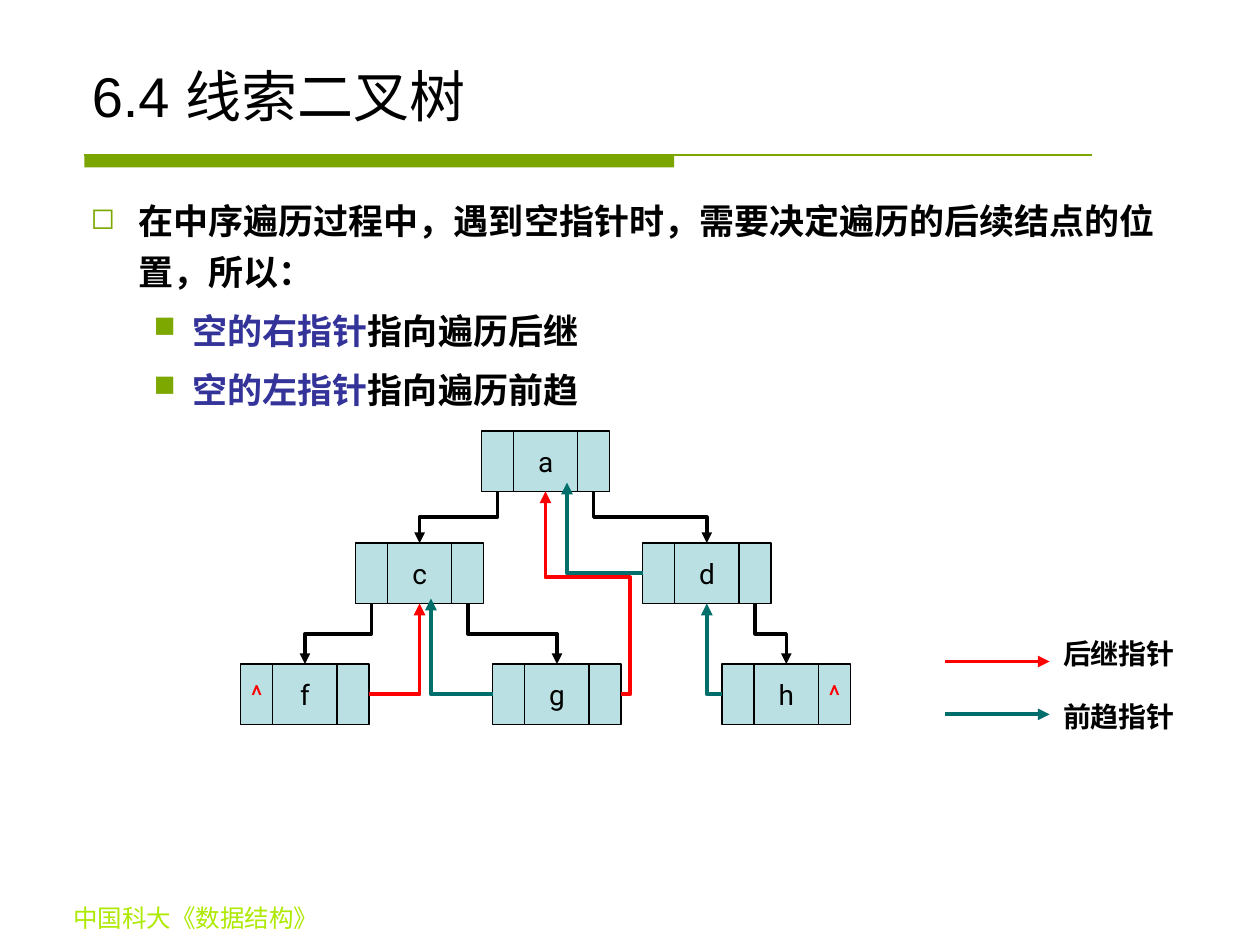
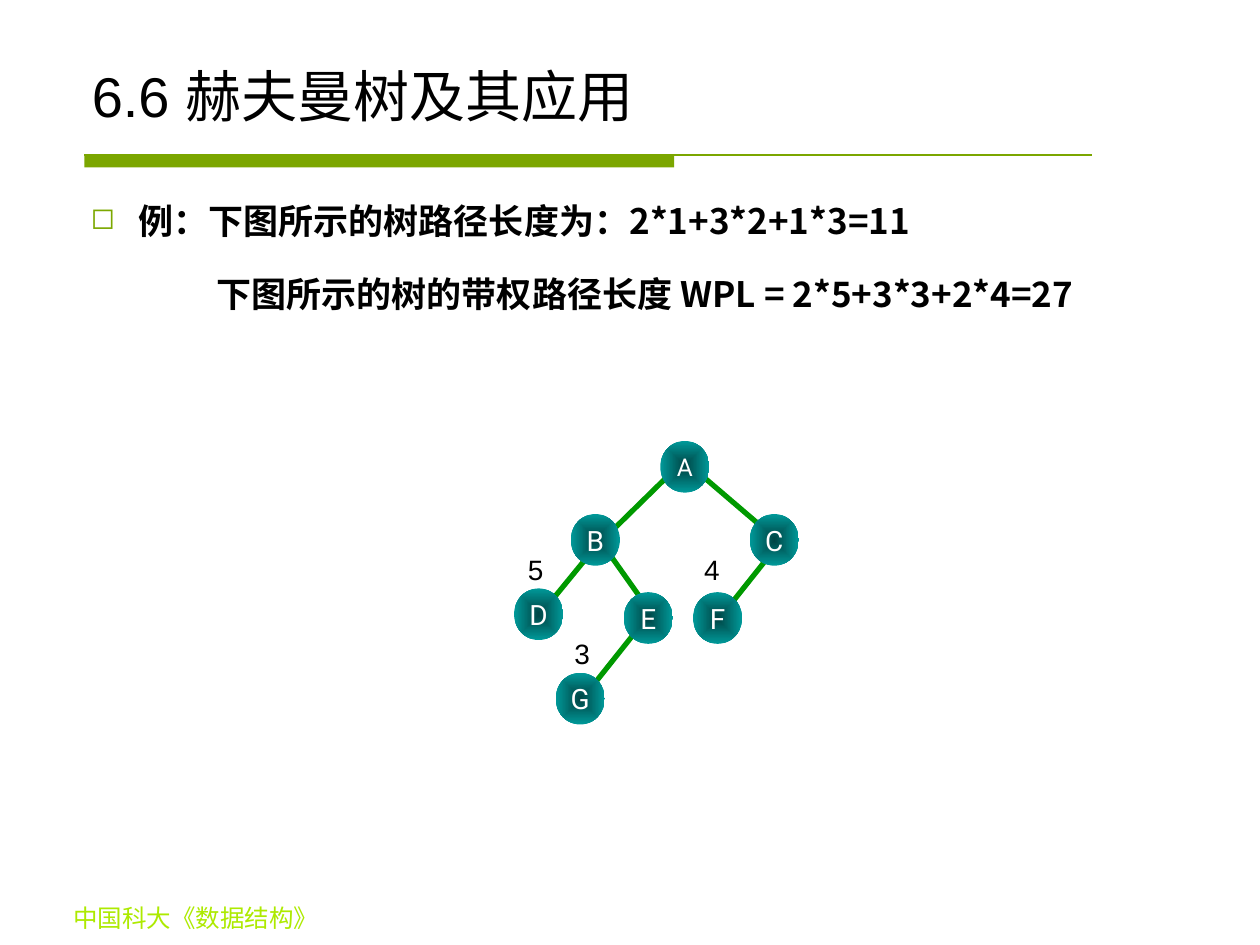
from dataclasses import dataclass

from lxml import etree
from pptx import Presentation
from pptx.dml.color import RGBColor
from pptx.enum.shapes import MSO_CONNECTOR, MSO_SHAPE
from pptx.enum.text import MSO_ANCHOR, PP_ALIGN
from pptx.oxml.ns import qn
from pptx.util import Inches, Pt

STRAIGHT, ELBOW = MSO_CONNECTOR.STRAIGHT, MSO_CONNECTOR.ELBOW
RECTANGLE, OVAL = MSO_SHAPE.RECTANGLE, MSO_SHAPE.OVAL
TOP, MIDDLE, BOTTOM = MSO_ANCHOR.TOP, MSO_ANCHOR.MIDDLE, MSO_ANCHOR.BOTTOM
LEFT, CENTER = PP_ALIGN.LEFT, PP_ALIGN.CENTER


@dataclass(frozen=True)
class Theme:
    band: str = "7BA600"
    bullet: str = "7CA800"
    footer: str = "ADEA00"
    text: str = "000000"
    keyword: str = "333399"
    cell: str = "BBE0E3"
    successor: str = "FF0000"
    predecessor: str = "006F6C"
    edge: str = "009900"
    node_core: str = "004646"
    node_rim: str = "009999"
    node_text: str = "FFFFFF"
    title_size: int = 32
    body_size: int = 20
    label_size: int = 16
    small_size: int = 14
    font: str = "Arial"
    node_font: str = "Roboto"
    footer_font: str = "Times New Roman"
    chinese_font: str = "Noto Sans CJK SC"


THEME = Theme()
CELL_HEIGHT = 0.48
POINTER_WIDTH = 0.255
VALUE_WIDTH = 0.51
POINTER_OFFSET = (VALUE_WIDTH + POINTER_WIDTH) / 2
HALF_NODE = VALUE_WIDTH / 2 + POINTER_WIDTH


def rgb(color):
    return RGBColor.from_string(color)


def add_run(paragraph, text, size, color=THEME.text, font=THEME.font, bold=False):
    run = paragraph.add_run()
    run.text = text
    run.font.size = Pt(size)
    run.font.name = font
    run.font.bold = bold
    run.font.color.rgb = rgb(color)
    latin = run.font._element.find(qn("a:latin"))
    east_asian = etree.Element(qn("a:ea"), typeface=THEME.chinese_font)
    latin.addnext(east_asian)


def write_label(shape, text, size=THEME.label_size, align=CENTER, anchor=MIDDLE,
                wrap=False, side_margin=0.1, **run_format):
    frame = shape.text_frame
    frame.word_wrap = wrap
    frame.vertical_anchor = anchor
    frame.margin_left = frame.margin_right = Inches(side_margin)
    frame.paragraphs[0].alignment = align
    add_run(frame.paragraphs[0], text, size, **run_format)


def add_text(slide, box, text, anchor=TOP, **label_format):
    shape = slide.shapes.add_textbox(*map(Inches, box))
    write_label(shape, text, anchor=anchor, **label_format)


def add_preset(slide, preset, box):
    shape = slide.shapes.add_shape(preset, *map(Inches, box))
    shape.shadow.inherit = False
    return shape


def add_line(slide, start, end, color, width, arrow=False, kind=STRAIGHT):
    line = slide.shapes.add_connector(kind, *map(Inches, (*start, *end)))
    line.line.color.rgb = rgb(color)
    line.line.width = Pt(width)
    if arrow:
        etree.SubElement(line.line._get_or_add_ln(), qn("a:tailEnd"), type="triangle")
    etree.SubElement(line._element.spPr, qn("a:effectLst"))
    return line


def set_elbow(line, preset, **adjustments):
    geometry = line._element.spPr.find(qn("a:prstGeom"))
    geometry.set("prst", preset)
    guides = geometry.find(qn("a:avLst"))
    for name, value in adjustments.items():
        etree.SubElement(guides, qn("a:gd"), name=name, fmla=f"val {value}")


def turn(line, degrees, flip=False):
    transform = line._element.spPr.find(qn("a:xfrm"))
    for name in ("flipH", "flipV"):
        transform.attrib.pop(name, None)
    transform.set("rot", str(degrees * 60000))
    if flip:
        transform.set("flipH", "1")


def add_child_link(slide, start, end):
    """Draw an arrow that runs down, across and down again."""
    (x1, y1), (x2, y2) = start, end
    half_drop, half_span = (y2 - y1) / 2, abs(x2 - x1) / 2
    middle_x, middle_y = (x1 + x2) / 2, (y1 + y2) / 2
    line = add_line(slide, (middle_x - half_drop, middle_y - half_span),
                    (middle_x + half_drop, middle_y + half_span),
                    THEME.text, 2, arrow=True, kind=ELBOW)
    set_elbow(line, "bentConnector3", adj1=50000)
    goes_right = x2 > x1
    turn(line, 270 if goes_right else 90, flip=goes_right)


def add_thread(slide, start, end, color):
    """Draw an arrow that runs sideways and then up."""
    line = add_line(slide, start, end, color, 2.25, arrow=True, kind=ELBOW)
    set_elbow(line, "bentConnector2")
    if end[0] < start[0]:
        turn(line, 180)


def add_tree_node(slide, center, top, value, left_mark="", right_mark=""):
    cells = ((0, VALUE_WIDTH, value, THEME.text),
             (POINTER_OFFSET, POINTER_WIDTH, right_mark, THEME.successor),
             (-POINTER_OFFSET, POINTER_WIDTH, left_mark, THEME.successor))
    for offset, width, text, color in cells:
        cell = add_preset(slide, RECTANGLE,
                          (center + offset - width / 2, top, width, CELL_HEIGHT))
        cell.fill.solid()
        cell.fill.fore_color.rgb = rgb(THEME.cell)
        cell.line.color.rgb = rgb(THEME.text)
        cell.line.width = Pt(0.75)
        if text:
            write_label(cell, text, color=color, font=THEME.node_font)


def add_round_node(slide, left, top, letter, size):
    node = add_preset(slide, OVAL, (left, top, 0.39, 0.41))
    node.line.fill.background()
    node.fill.gradient()
    for stop, color in zip(node.fill.gradient_stops, (THEME.node_core, THEME.node_rim)):
        stop.color.rgb = rgb(color)
    gradient = node._element.spPr.find(qn("a:gradFill"))
    gradient.remove(gradient.find(qn("a:lin")))
    center_fill = etree.SubElement(gradient, qn("a:path"))
    center_fill.set("path", "rect")
    etree.SubElement(center_fill, qn("a:fillToRect"),
                     dict.fromkeys("ltrb", "50000"))
    write_label(node, letter, size=size, side_margin=0,
                color=THEME.node_text, font=THEME.node_font)


def add_body(slide, paragraphs, font=THEME.font):
    """Each paragraph is (runs, left margin, first indent, bullet, space before)."""
    shape = slide.shapes.add_textbox(*map(Inches, (0.62, 1.47, 8.75, 5.43)))
    frame = shape.text_frame
    frame.word_wrap = True
    for index, (runs, margin, indent, bullet, space) in enumerate(paragraphs):
        paragraph = frame.add_paragraph() if index else frame.paragraphs[0]
        paragraph.line_spacing = 1.2
        if index:
            paragraph.space_before = Pt(space)
        properties = paragraph._p.get_or_add_pPr()
        properties.set("marL", str(Inches(margin)))
        properties.set("indent", str(Inches(indent)))
        if bullet:
            color = etree.SubElement(properties, qn("a:buClr"))
            etree.SubElement(color, qn("a:srgbClr"), val=THEME.bullet)
            etree.SubElement(properties, qn("a:buSzPct"), val="85000")
            etree.SubElement(properties, qn("a:buChar"), char=bullet)
        for text, color in runs:
            add_run(paragraph, text, THEME.body_size, color=color, font=font, bold=True)


def first_level(text):
    return [(text, THEME.text)], 0.38, -0.38, "◻", 0


def second_level(keyword, text):
    return [(keyword, THEME.keyword), (text, THEME.text)], 0.81, -0.31, "■", 5


def add_base_slide(presentation, title):
    slide = presentation.slides.add_slide(presentation.slide_layouts[6])
    band = add_preset(slide, RECTANGLE, (0.67, 1.23, 4.68, 0.1))
    band.fill.solid()
    band.fill.fore_color.rgb = rgb(THEME.band)
    band.line.fill.background()
    add_line(slide, (0.67, 1.23), (8.67, 1.23), THEME.band, 0.75)
    add_text(slide, (0, 7.12, 3.11, 0.34), "中国科大《数据结构》", wrap=True,
             size=THEME.small_size, color=THEME.footer, font=THEME.footer_font)
    add_text(slide, (0.63, 0.33, 8.75, 0.74), title, anchor=BOTTOM, align=LEFT,
             wrap=True, size=THEME.title_size)
    return slide


def build_threaded_tree(presentation):
    slide = add_base_slide(presentation, "6.4 线索二叉树")
    add_body(slide, [
        first_level("在中序遍历过程中，遇到空指针时，需要决定遍历的后续结点的位置，所以："),
        second_level("空的右指针", "指向遍历后继"),
        second_level("空的左指针", "指向遍历前趋"),
    ])
    nodes = {"a": (4.33, 3.42), "c": (3.33, 4.31), "d": (5.61, 4.31),
             "f": (2.42, 5.27), "g": (4.42, 5.27), "h": (6.24, 5.27)}
    marks = {"f": {"left_mark": "^"}, "h": {"right_mark": "^"}}
    for value, (center, top) in nodes.items():
        add_tree_node(slide, center, top, value, **marks.get(value, {}))

    for parent, side, child in (("a", -1, "c"), ("a", 1, "d"), ("c", -1, "f"),
                                ("c", 1, "g"), ("d", 1, "h")):
        center, top = nodes[parent]
        add_child_link(slide, (center + side * POINTER_OFFSET, top + CELL_HEIGHT),
                       nodes[child])

    def side_point(value, side):
        center, top = nodes[value]
        return center + side * HALF_NODE, top + CELL_HEIGHT / 2

    add_thread(slide, side_point("f", 1), (3.33, 4.79), THEME.successor)
    long_thread = add_line(slide, side_point("g", 1), (4.33, 3.9), THEME.successor,
                           2.25, arrow=True, kind=ELBOW)
    set_elbow(long_thread, "bentConnector4", adj1=-12000, adj2=57600)
    for value, target in (("g", (3.42, 4.75)), ("d", (4.5, 3.83)), ("h", (5.61, 4.79))):
        add_thread(slide, side_point(value, -1), target, THEME.predecessor)

    for text, line_y, text_y, color in (("后继指针", 5.25, 5, THEME.successor),
                                        ("前趋指针", 5.67, 5.5, THEME.predecessor)):
        add_line(slide, (7.5, line_y), (8.33, line_y), color, 2.25, arrow=True)
        add_text(slide, (8.34, text_y, 1.08, 0.37), text, bold=True, side_margin=0.02)


def build_huffman_tree(presentation):
    slide = add_base_slide(presentation, "6.6 赫夫曼树及其应用")
    weighted_length = "下图所示的树的带权路径长度 WPL = 2*5+3*3+2*4=27"
    add_body(slide, [
        first_level("例：下图所示的树路径长度为：2*1+3*2+1*3=11"),
        ([(weighted_length, THEME.text)], 1.25, -0.25, None, 12.5),
    ], font=THEME.chinese_font)
    edges = (((5.53, 3.74), (6.01, 4.15)), ((5.34, 3.74), (4.85, 4.22)),
             ((4.76, 4.3), (4.4, 4.74)), ((4.79, 4.33), (5.08, 4.74)),
             ((6.17, 4.33), (5.82, 4.77)), ((5.08, 4.97), (4.73, 5.41)))
    for start, end in edges:
        add_line(slide, start, end, THEME.edge, 3)
    nodes = {"A": (5.24, 3.5), "B": (4.53, 4.08), "C": (5.95, 4.08), "D": (4.08, 4.67),
             "E": (4.95, 4.7), "F": (5.5, 4.7), "G": (4.41, 5.34)}
    for letter, (left, top) in nodes.items():
        size = THEME.small_size if letter == "A" else THEME.label_size
        add_round_node(slide, left, top, letter, size)
    for weight, left, top in (("5", 4.09, 4.34), ("4", 5.49, 4.34), ("3", 4.46, 5)):
        add_text(slide, (left, top, 0.28, 0.37), weight)


def main():
    presentation = Presentation()
    presentation.slide_width, presentation.slide_height = Inches(10), Inches(7.5)
    build_threaded_tree(presentation)
    build_huffman_tree(presentation)
    presentation.save("out.pptx")


if __name__ == "__main__":
    main()
